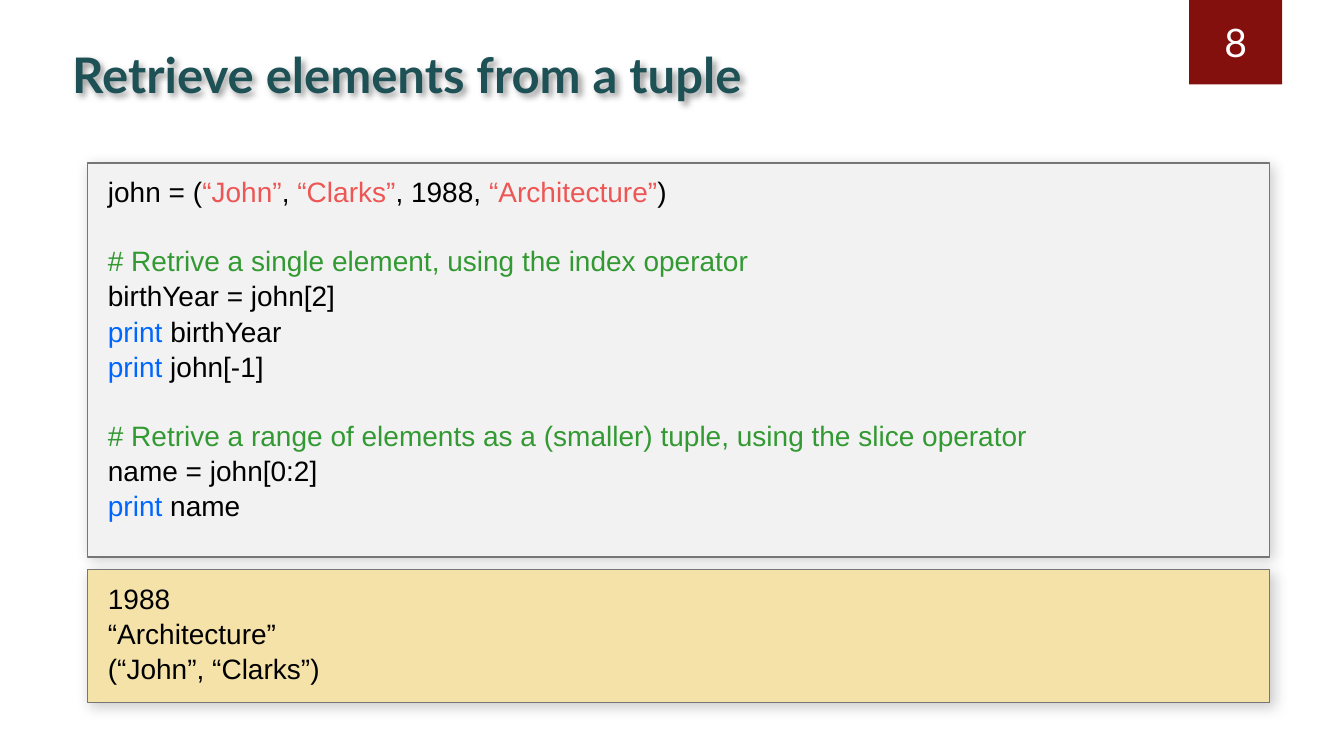
import lxml.etree
import pptx
import pptx.dml.color
import pptx.enum.shapes
import pptx.enum.text
import pptx.oxml.ns
import pptx.util

Cm = pptx.util.Cm
Pt = pptx.util.Pt
ALIGN = pptx.enum.text.PP_ALIGN
ANCHOR = pptx.enum.text.MSO_ANCHOR

BLACK = "000000"
STRING = "ED5654"
COMMENT = "339933"
KEYWORD = "0066FF"
BORDER = "767676"
CODE_FORMAT = {"name": "Arial", "size": Pt(20)}
PANEL_LEFT, PANEL_WIDTH = 2.21, 29.79

CODE_BLOCKS = [
    [
        [("john = (", BLACK), ("“John”", STRING), (", ", BLACK), ("“Clarks”", STRING),
         (", 1988, ", BLACK), ("“Architecture”", STRING), (")", BLACK)],
    ],
    [
        [("# Retrive a single element, using the index operator", COMMENT)],
        [("birthYear = john[2]", BLACK)],
        [("print ", KEYWORD), ("birthYear", BLACK)],
        [("print", KEYWORD), (" john[-1]", BLACK)],
    ],
    [
        [("# Retrive a range of elements as a (smaller) tuple, using the slice operator", COMMENT)],
        [("name = john[0:2]", BLACK)],
        [("print", KEYWORD), (" name", BLACK)],
    ],
]
OUTPUT_BLOCKS = [
    [[(line, BLACK)] for line in ("1988", "“Architecture”", "(“John”, “Clarks”)")],
]


def colour(value):
    """Turn a hex string into a colour."""
    return pptx.dml.color.RGBColor.from_string(value)


def apply_format(target, values):
    """Set each attribute named in the dict."""
    for name, value in values.items():
        setattr(target, name, value)


def add_span(para, text, hex_colour, values):
    """Add a formatted run to a paragraph."""
    span = para.add_run()
    span.text = text
    apply_format(span.font, values)
    span.font.color.rgb = colour(hex_colour)


def add_shadow(box, opacity, blur, distance, angle):
    """Give a shape a soft black outer shadow."""
    box.shadow.inherit = False
    qn = pptx.oxml.ns.qn
    effects = box.element.spPr.find(qn("a:effectLst"))
    shadow = lxml.etree.SubElement(
        effects, qn("a:outerShdw"), blurRad=str(Pt(blur)), dist=str(Pt(distance)),
        dir=str(angle * 60000), algn="tl", rotWithShape="0")
    black = lxml.etree.SubElement(shadow, qn("a:srgbClr"), val=BLACK)
    lxml.etree.SubElement(black, qn("a:alpha"), val=str(opacity * 1000))


def add_rectangle(page, left, top, width, height, fill):
    """Add a plain filled rectangle without a line."""
    box = page.shapes.add_shape(
        pptx.enum.shapes.MSO_SHAPE.RECTANGLE, Cm(left), Cm(top), Cm(width), Cm(height))
    box.shadow.inherit = False
    box.fill.solid()
    box.fill.fore_color.rgb = colour(fill)
    box.line.fill.background()
    return box


def add_title(page, text):
    """Add the slide title with its text shadow."""
    box = page.shapes.add_textbox(Cm(1.57), Cm(0.99), Cm(27.74), Cm(1.63))
    apply_format(box.text_frame, {"word_wrap": True, "vertical_anchor": ANCHOR.TOP})
    add_span(box.text_frame.paragraphs[0], text, "1E5155",
             {"name": "Lato", "size": Pt(35), "bold": True})
    add_shadow(box, 40, 5, 3, 45)


def add_page_number(page, number):
    """Add the page number tab at the top edge."""
    box = add_rectangle(page, 29.97, 0, 2.34, 2.13, "84100E")
    box.text_frame.vertical_anchor = ANCHOR.MIDDLE
    para = box.text_frame.paragraphs[0]
    para.alignment = ALIGN.CENTER
    add_span(para, number, "FFFFFF", {"name": "Lato", "size": Pt(28)})


def add_panel(page, top, height, fill, blocks):
    """Add a bordered panel holding blocks of coloured lines."""
    box = add_rectangle(page, PANEL_LEFT, top, PANEL_WIDTH, height, fill)
    box.line.color.rgb = colour(BORDER)
    box.line.width = Pt(1)
    add_shadow(box, 20, 10, 3, 45)
    frame = box.text_frame
    apply_format(frame, {
        "word_wrap": True, "vertical_anchor": ANCHOR.TOP,
        "margin_left": Cm(0.51), "margin_right": Cm(0.51),
        "margin_top": Cm(0.25), "margin_bottom": Cm(0.25)})
    for block_index, block in enumerate(blocks):
        for line_index, line in enumerate(block):
            starts_block = line_index == 0
            first = starts_block and block_index == 0
            para = frame.paragraphs[0] if first else frame.add_paragraph()
            gap = Pt(24) if starts_block and not first else Pt(0)
            apply_format(para, {
                "alignment": ALIGN.LEFT, "line_spacing": 1.05, "space_before": gap})
            for text, hex_colour in line:
                add_span(para, text, hex_colour, CODE_FORMAT)


def main():
    """Build the slide and save it."""
    deck = pptx.Presentation()
    apply_format(deck, {"slide_width": Cm(33.87), "slide_height": Cm(19.05)})
    page = deck.slides.add_slide(deck.slide_layouts[6])
    add_title(page, "Retrieve elements from a tuple")
    add_page_number(page, "8")
    add_panel(page, 4.11, 9.93, "F2F2F2", CODE_BLOCKS)
    add_panel(page, 14.35, 3.35, "F5E2A9", OUTPUT_BLOCKS)
    deck.save("out.pptx")


if __name__ == "__main__":
    main()
